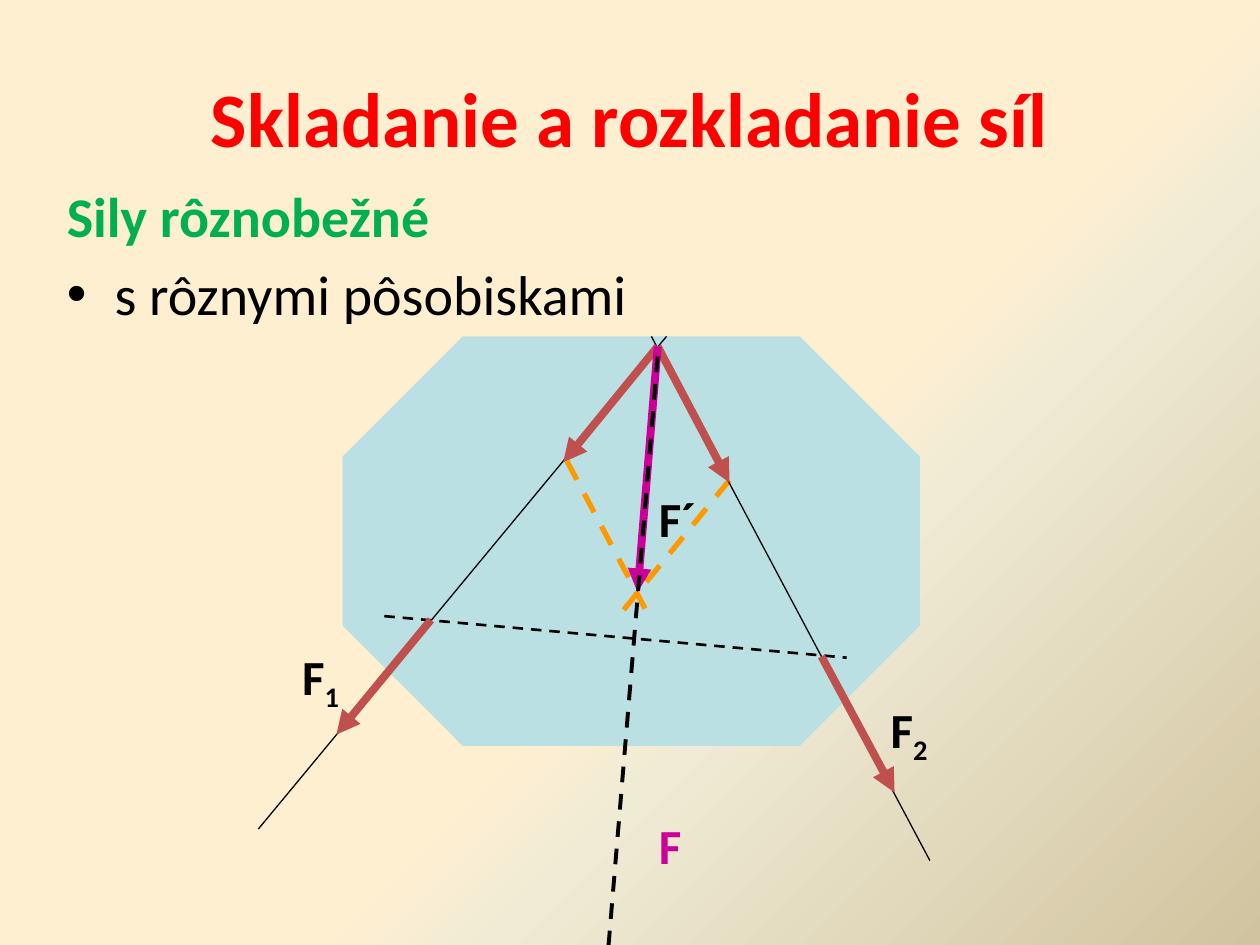
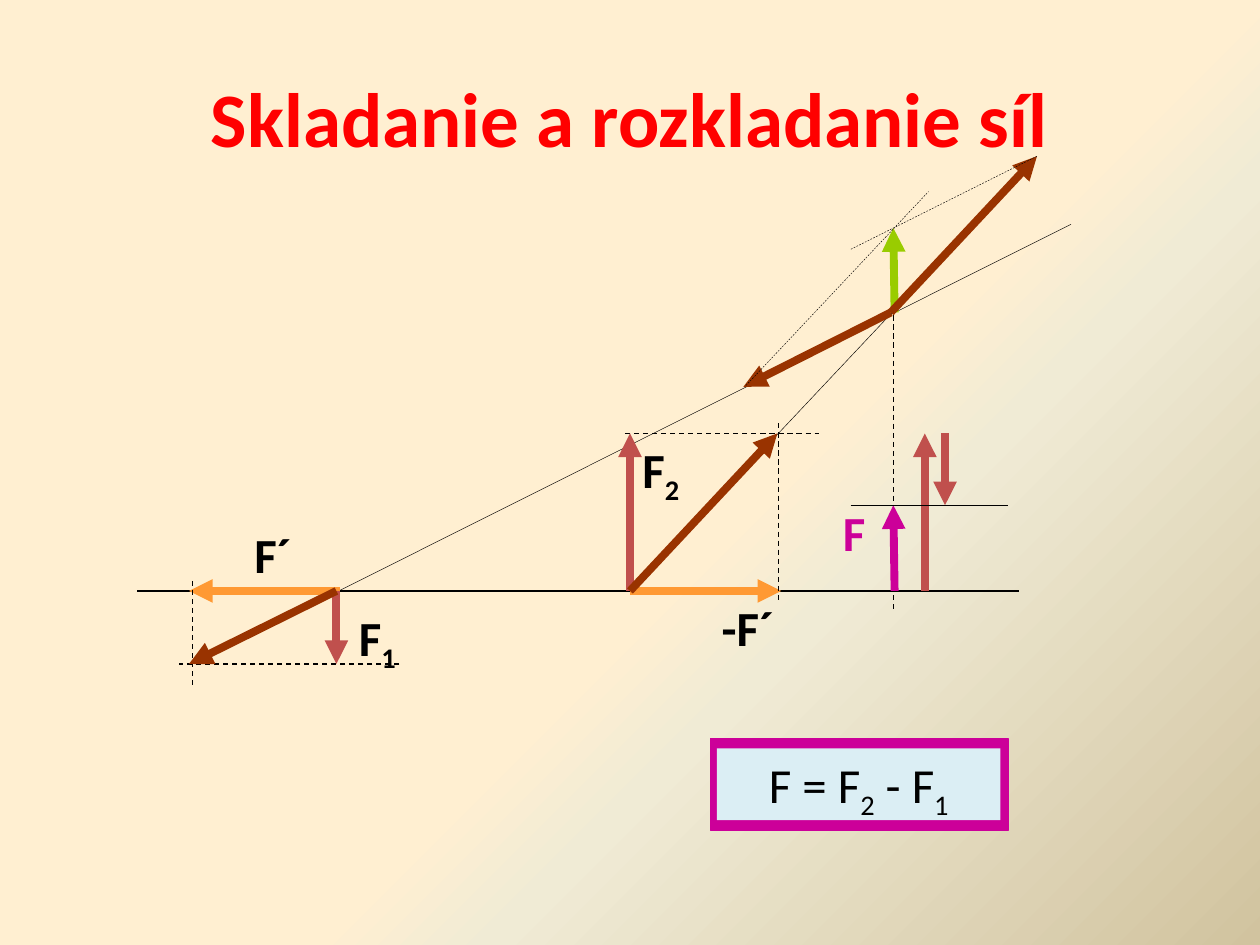
from lxml import etree
from pptx import Presentation
from pptx.dml.color import RGBColor
from pptx.enum.dml import MSO_LINE
from pptx.enum.shapes import MSO_CONNECTOR, MSO_SHAPE
from pptx.enum.text import MSO_ANCHOR, MSO_AUTO_SIZE, PP_ALIGN
from pptx.oxml.ns import qn
from pptx.util import Inches, Pt

STRAIGHT = MSO_CONNECTOR.STRAIGHT
DASH = MSO_LINE.DASH
OCTAGON, RECTANGLE = MSO_SHAPE.OCTAGON, MSO_SHAPE.RECTANGLE
CENTER, LEFT = PP_ALIGN.CENTER, PP_ALIGN.LEFT
MIDDLE, TOP = MSO_ANCHOR.MIDDLE, MSO_ANCHOR.TOP
NO_FIT = MSO_AUTO_SIZE.NONE

COLS, ROWS = 10, 7.5
WIDTH, HEIGHT = Inches(10), Inches(7.5)
FONT = "Calibri"
TITLE = "Skladanie a rozkladanie síl"
LABEL_H = 0.57
BLACK, RED, GREEN, MAGENTA = "000000", "FF0000", "00B050", "CC0099"
GRADIENT = [(57, "FFEFD1"), (65, "F0EBD5"), (100, "D1C39F")]

LINE_STYLES = {
    "hair": dict(color=BLACK, width=0.25),
    "hair dash": dict(color=BLACK, width=0.25, dash=True),
    "thin": dict(color=BLACK, width=0.75),
    "thin dash": dict(color=BLACK, width=0.75, dash=True),
    "joining": dict(color=BLACK, width=1.5, dash=True),
    "resultant axis": dict(color=BLACK, width=2.25, dash=True),
    "parallelogram": dict(color="FF9900", width=3, dash=True),
    "force": dict(color="C0504D", width=4.5, arrow=True),
    "resultant": dict(color=MAGENTA, width=4.5, arrow=True),
    "auxiliary": dict(color="FF9933", width=4.5, arrow=True),
    "combined": dict(color="993300", width=4.5, arrow=True),
    "shifted resultant": dict(color="99CC00", width=4.5, arrow=True),
}


def rgb(color):
    return RGBColor.from_string(color)


def grid(col, row):
    return round(WIDTH * col / COLS), round(HEIGHT * row / ROWS)


def box(left, top, width, height):
    return *grid(left, top), *grid(width, height)


def place(sp, *area):
    for name, value in zip(("left", "top", "width", "height"), box(*area)):
        setattr(sp, name, value)


def set_font(font, color, **values):
    for name, value in dict(name=FONT, **values).items():
        setattr(font, name, value)
    font.color.rgb = rgb(color)


def set_background(master):
    fill = master.background.fill
    fill.gradient()
    fill.gradient_angle = 315
    stops = master.element.find(".//" + qn("p:bg")).find(".//" + qn("a:gsLst"))
    for stop in list(stops):
        stops.remove(stop)
    for share, color in GRADIENT:
        stop = etree.SubElement(stops, qn("a:gs"), pos=str(share * 1000))
        etree.SubElement(stop, qn("a:srgbClr"), val=color)


def add_slide(prs, layout):
    s = prs.slides.add_slide(prs.slide_layouts[layout])
    sp = s.shapes.title
    place(sp, 0.5, 0.3, 9, 1.25)
    tf = sp.text_frame
    tf.text = TITLE
    tf.vertical_anchor = MIDDLE
    tf.auto_size = NO_FIT
    p = tf.paragraphs[0]
    p.alignment = CENTER
    set_font(p.runs[0].font, RED, size=Pt(44), bold=True)
    return s


def fill_body(s, heading, item):
    sp = s.placeholders[1]
    place(sp, 0.43, 1.39, 9, 4.95)
    tf = sp.text_frame
    tf.text = f"{heading}\n{item}"
    tf.auto_size = NO_FIT
    formats = [("buNone", {}, GREEN, True), ("buChar", {"char": "•"}, BLACK, False)]
    for p, (bullet, attrs, color, bold) in zip(tf.paragraphs, formats):
        pPr = p._p.get_or_add_pPr()
        pPr.set("marL", str(Inches(0.38)))
        pPr.set("indent", str(-Inches(0.38)))
        etree.SubElement(pPr, qn("a:" + bullet), **attrs)
        set_font(p.runs[0].font, color, size=Pt(32), bold=bold)
    tf.paragraphs[0].space_before = Pt(0)


def add_line(s, style, start, end):
    look = LINE_STYLES[style]
    c = s.shapes.add_connector(STRAIGHT, *grid(*start), *grid(*end))
    c.line.color.rgb = rgb(look["color"])
    c.line.width = Pt(look["width"])
    if look.get("dash"):
        c.line.dash_style = DASH
    if look.get("arrow"):
        etree.SubElement(c.line._get_or_add_ln(), qn("a:tailEnd"), type="triangle")
    etree.SubElement(c._element.spPr, qn("a:effectLst"))


def add_panel(s, kind, area, color):
    sp = s.shapes.add_shape(kind, *box(*area))
    sp.shadow.inherit = False
    sp.fill.solid()
    sp.fill.fore_color.rgb = rgb(color)
    sp.line.fill.background()
    return sp


def write_formula(sp, text, color=BLACK, bold=True, align=LEFT):
    tf = sp.text_frame
    tf.word_wrap = True
    tf.vertical_anchor = TOP
    p = tf.paragraphs[0]
    p.alignment = align
    first, *rest = text.split("_")
    pieces = [(first, False)]
    for part in rest:
        pieces += [(part[0], True), (part[1:], False)]
    for piece, subscript in pieces:
        if piece:
            r = p.add_run()
            r.text = piece
            set_font(r.font, color, size=Pt(28), bold=bold)
            if subscript:
                r._r.get_or_add_rPr().set("baseline", "-25000")


def add_label(s, text, left, top, width, color=BLACK):
    sp = s.shapes.add_textbox(*box(left, top, width, LABEL_H))
    write_formula(sp, text, color)


def draw_forces_at_angle(prs):
    s = add_slide(prs, 1)
    fill_body(s, "Sily rôznobežné", "s rôznymi pôsobiskami")
    body = add_panel(s, OCTAGON, (2.72, 2.67, 4.58, 3.25), "BBE0E3")
    body.adjustments[0] = 0.293
    apex = (5.22, 2.75)
    for line in [
        ("parallelogram", (5.79, 3.81), (4.95, 4.84)),
        ("thin", (5.29, 2.67), (2.05, 6.58)),
        ("thin", (5.17, 2.67), (7.38, 6.83)),
        ("force", apex, (4.47, 3.67)),
        ("force", apex, (5.79, 3.83)),
        ("joining", (3.05, 4.89), (6.72, 5.22)),
        ("parallelogram", (4.5, 3.66), (5.12, 4.83)),
        ("resultant", apex, (5.06, 4.7)),
        ("force", (3.42, 4.92), (2.67, 5.83)),
        ("force", (6.52, 5.21), (7.1, 6.29)),
        ("resultant axis", (5.22, 2.83), (4.83, ROWS)),
    ]:
        add_line(s, *line)
    add_label(s, "F_1", 2.3, 5.08, 1.08)
    add_label(s, "F_2", 6.97, 5.5, 1)
    add_label(s, "F", 5.13, 6.42, 0.42, MAGENTA)
    add_label(s, "F´", 5.13, 3.83, 0.58)


def draw_opposite_forces(prs):
    s = add_slide(prs, 5)
    base, high, low, tip = 4.69, 3.44, 5.27, 4.01
    origin1, origin2 = (2.67, base), (5, base)
    crossing, far_end = (7.07, 2.48), (8.23, 1.24)
    for line in [
        ("hair", (8.5, 1.78), (2.09, 4.99)),
        ("thin dash", (7.09, 2.36), (7.09, 4.86)),
        ("shifted resultant", (7.1, 2.48), (7.09, 1.81)),
        ("thin", (1.09, base), (8.09, base)),
        ("auxiliary", origin2, (6.2, base)),
        ("auxiliary", (2.7, base), (1.5, base)),
        ("thin dash", (3.17, low), (1.42, low)),
        ("thin dash", (1.53, 4.61), (1.53, 5.44)),
        ("thin dash", (6.18, 3.36), (6.18, 4.77)),
        ("thin dash", (4.96, high), (6.5, high)),
        ("force", origin1, (2.67, low)),
        ("force", origin2, (5, high)),
        ("combined", origin1, (1.5, low)),
        ("hair", (5.34, 4.33), (8.06, 1.44)),
        ("combined", crossing, (5.9, 3.07)),
        ("combined", crossing, far_end),
        ("hair dash", (5.92, 3.06), (7.37, 1.52)),
        ("hair dash", far_end, (6.75, 1.98)),
        ("resultant", (7.1, base), (7.09, tip)),
        ("force", (7.34, base), (7.34, high)),
        ("force", (7.5, high), (7.5, tip)),
        ("hair", (6.75, tip), (8, tip)),
        ("combined", origin2, (6.17, high)),
    ]:
        add_line(s, *line)
    frame = add_panel(s, RECTANGLE, (5.64, 5.86, 2.36, 0.73), MAGENTA)
    frame.line.color.rgb = rgb(MAGENTA)
    frame.line.width = Pt(0.75)
    equation = add_panel(s, RECTANGLE, (5.69, 5.94, 2.25, LABEL_H), "DBEEF4")
    write_formula(equation, "F = F_2 - F_1", bold=False, align=CENTER)
    add_label(s, "F_1", 2.75, 4.77, 1.08)
    add_label(s, "F_2", 5, high, 1)
    add_label(s, "F", 6.59, 3.94, 0.42, MAGENTA)
    add_label(s, "F´", 1.92, 4.11, 0.67)
    add_label(s, "-F´", 5.63, base, 1)


def main():
    prs = Presentation()
    prs.slide_width, prs.slide_height = WIDTH, HEIGHT
    set_background(prs.slide_master)
    draw_forces_at_angle(prs)
    draw_opposite_forces(prs)
    prs.save("out.pptx")


if __name__ == "__main__":
    main()
